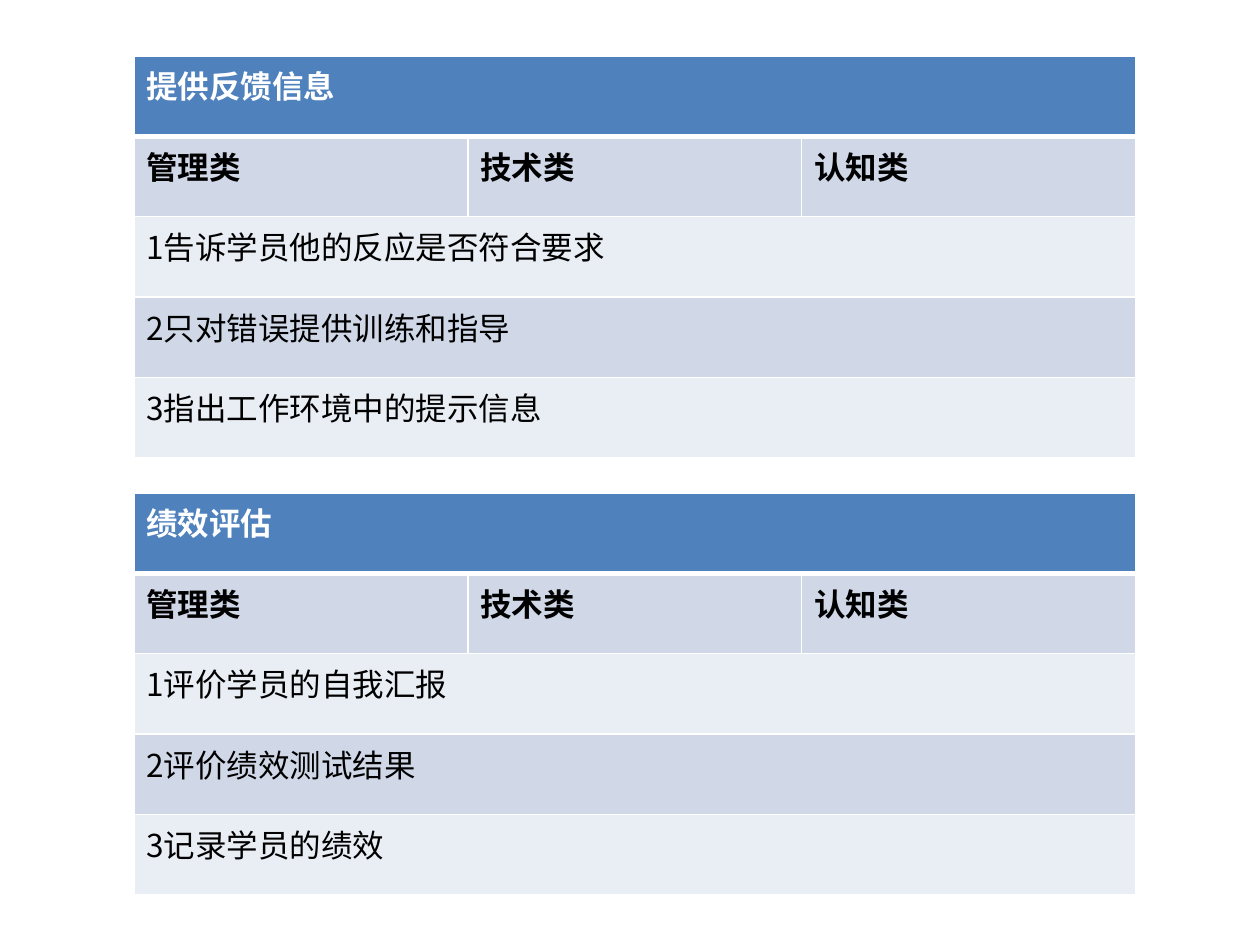
from lxml import etree
from pptx import Presentation
from pptx.dml.color import RGBColor
from pptx.oxml.ns import qn
from pptx.util import Pt

FONT = "Noto Sans CJK SC"
WHITE = RGBColor(0xFF, 0xFF, 0xFF)
BLACK = RGBColor(0x00, 0x00, 0x00)
BLUE = RGBColor(0x4F, 0x81, 0xBD)
MID = RGBColor(0xD0, 0xD8, 0xE8)
PALE = RGBColor(0xE9, 0xED, 0xF4)

LEFT, WIDTH, HEIGHT = 76.5, 572.4, 230
KINDS = ["管理类", "技术类", "认知类"]
TABLES = [
    (31.9, "提供反馈信息", ["1告诉学员他的反应是否符合要求", "2只对错误提供训练和指导", "3指出工作环境中的提示信息"]),
    (281.6, "绩效评估", ["1评价学员的自我汇报", "2评价绩效测试结果", "3记录学员的绩效"]),
]


def add_edge(cell, side, width):
    props = cell._tc.get_or_add_tcPr()
    line = etree.SubElement(props, qn(f"a:ln{side}"), w=str(Pt(width)))
    fill = etree.SubElement(line, qn("a:solidFill"))
    etree.SubElement(fill, qn("a:srgbClr"), val=str(WHITE))


def style_cell(cell, row, fill):
    widths = {"L": 1, "R": 1, "T": 3 if row == 1 else 1, "B": 3 if row == 0 else 1}
    for side, width in widths.items():
        add_edge(cell, side, width)
    cell.fill.solid()
    cell.fill.fore_color.rgb = fill


def add_text(cell, text, color, bold):
    run = cell.text_frame.paragraphs[0].add_run()
    run.text = text
    font = run.font
    font.size = Pt(18)
    font.bold = bold
    font.color.rgb = color
    font.name = FONT
    etree.SubElement(run._r.get_or_add_rPr(), qn("a:ea"), typeface=FONT)


def add_grid(slide, top, title, items):
    rows = [[title], KINDS] + [[item] for item in items]
    count = len(KINDS)
    frame = slide.shapes.add_table(
        len(rows), count, Pt(LEFT), Pt(top), Pt(WIDTH), Pt(HEIGHT))
    table = frame.table
    for row, texts in enumerate(rows):
        fill = BLUE if row == 0 else MID if row % 2 else PALE
        for col in range(count):
            style_cell(table.cell(row, col), row, fill)
        if len(texts) == 1:
            table.cell(row, 0).merge(table.cell(row, count - 1))
        for col, text in enumerate(texts):
            add_text(table.cell(row, col), text, BLACK if row else WHITE, row < 2)


def main():
    deck = Presentation()
    deck.slide_width, deck.slide_height = Pt(720), Pt(540)
    slide = deck.slides.add_slide(deck.slide_layouts[6])
    for top, title, items in TABLES:
        add_grid(slide, top, title, items)
    deck.save("out.pptx")


if __name__ == "__main__":
    main()
